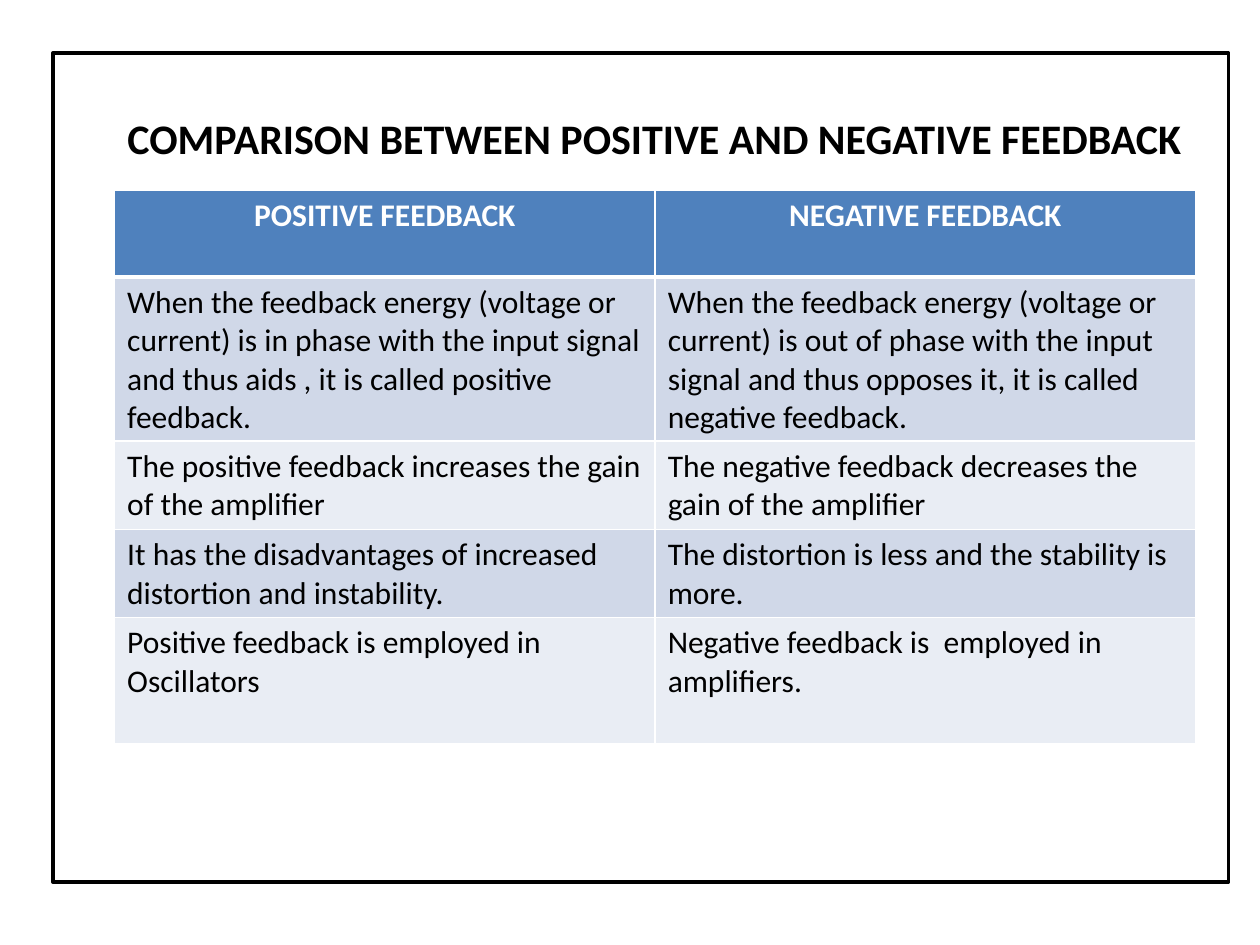
from dataclasses import dataclass

from lxml import etree
from pptx import Presentation
from pptx.dml.color import RGBColor
from pptx.enum.shapes import MSO_SHAPE
from pptx.enum.text import PP_ALIGN
from pptx.oxml.ns import qn
from pptx.util import Inches, Pt

RECTANGLE = MSO_SHAPE.RECTANGLE
CENTER = PP_ALIGN.CENTER
LEFT = PP_ALIGN.LEFT


@dataclass(frozen=True)
class Theme:
    font: str = "Calibri"
    title_size: int = 24
    table_size: int = 18
    ink: str = "000000"
    paper: str = "FFFFFF"
    header: str = "4F81BD"
    bands: tuple[str, str] = ("D0D8E8", "E9EDF4")
    rule: float = 1
    header_rule: float = 3


@dataclass(frozen=True)
class Comparison:
    positive: str
    negative: str
    height: float


THEME = Theme()
HEADINGS = Comparison("POSITIVE FEEDBACK", "NEGATIVE FEEDBACK", 0.69)
COMPARISONS = [
    Comparison(
        "When the feedback energy (voltage or current) is in phase with the "
        "input signal and thus aids , it is called positive feedback.",
        "When the feedback energy (voltage or current) is out of phase with the "
        "input signal and thus opposes it, it is called negative feedback.",
        1.3,
    ),
    Comparison(
        "The positive feedback increases the gain of the amplifier",
        "The negative feedback decreases the gain of the amplifier",
        0.7,
    ),
    Comparison(
        "It has the disadvantages of increased distortion and instability.",
        "The distortion is less and the stability is more.",
        0.7,
    ),
    Comparison(
        "Positive feedback is employed in Oscillators",
        "Negative feedback is  employed in amplifiers.",
        1.0,
    ),
]


def write(frame, text: str, size: int, color: str, bold: bool, align) -> None:
    frame.text = text
    paragraph = frame.paragraphs[0]
    paragraph.alignment = align
    font = paragraph.runs[0].font
    font.name = THEME.font
    font.size = Pt(size)
    font.bold = bold
    font.color.rgb = RGBColor.from_string(color)


def set_borders(cell, top: float, bottom: float) -> None:
    """Draw the cell's edges; they must come before its fill in the XML."""
    properties = cell._tc.get_or_add_tcPr()
    widths = {"lnL": THEME.rule, "lnR": THEME.rule, "lnT": top, "lnB": bottom}
    for edge, width in widths.items():
        line = etree.SubElement(properties, qn(f"a:{edge}"), w=str(Pt(width)))
        fill = etree.SubElement(line, qn("a:solidFill"))
        etree.SubElement(fill, qn("a:srgbClr"), val=THEME.paper)


def add_frame(slide) -> None:
    border = slide.shapes.add_shape(
        RECTANGLE, Inches(0.42), Inches(0.42), Inches(9.33), Inches(6.58)
    )
    border.shadow.inherit = False
    border.fill.background()
    border.line.color.rgb = RGBColor.from_string(THEME.ink)
    border.line.width = Pt(2)


def add_title(slide, text: str) -> None:
    title = slide.shapes.add_textbox(
        Inches(0.64), Inches(0.84), Inches(9.11), Inches(0.5)
    )
    title.text_frame.word_wrap = True
    write(title.text_frame, text, THEME.title_size, THEME.ink, True, CENTER)


def add_comparison_table(slide, rows: list[Comparison]) -> None:
    height = sum(row.height for row in rows)
    table = slide.shapes.add_table(
        len(rows), 2, Inches(0.91), Inches(1.51), Inches(8.58), Inches(height)
    ).table
    for index, row in enumerate(rows):
        table.rows[index].height = Inches(row.height)
        is_header = index == 0
        background = THEME.header if is_header else THEME.bands[(index - 1) % 2]
        color = THEME.paper if is_header else THEME.ink
        align = CENTER if is_header else LEFT
        top = THEME.header_rule if index == 1 else THEME.rule
        bottom = THEME.header_rule if is_header else THEME.rule
        for column, text in enumerate((row.positive, row.negative)):
            cell = table.cell(index, column)
            set_borders(cell, top, bottom)
            cell.fill.solid()
            cell.fill.fore_color.rgb = RGBColor.from_string(background)
            write(cell.text_frame, text, THEME.table_size, color, is_header, align)


def main() -> None:
    presentation = Presentation()
    presentation.slide_width = Inches(10)
    presentation.slide_height = Inches(7.5)
    slide = presentation.slides.add_slide(presentation.slide_layouts[6])

    # Border and heading
    add_frame(slide)
    add_title(slide, "COMPARISON BETWEEN POSITIVE AND NEGATIVE FEEDBACK")

    # Two-column comparison
    add_comparison_table(slide, [HEADINGS, *COMPARISONS])

    presentation.save("out.pptx")


if __name__ == "__main__":
    main()
